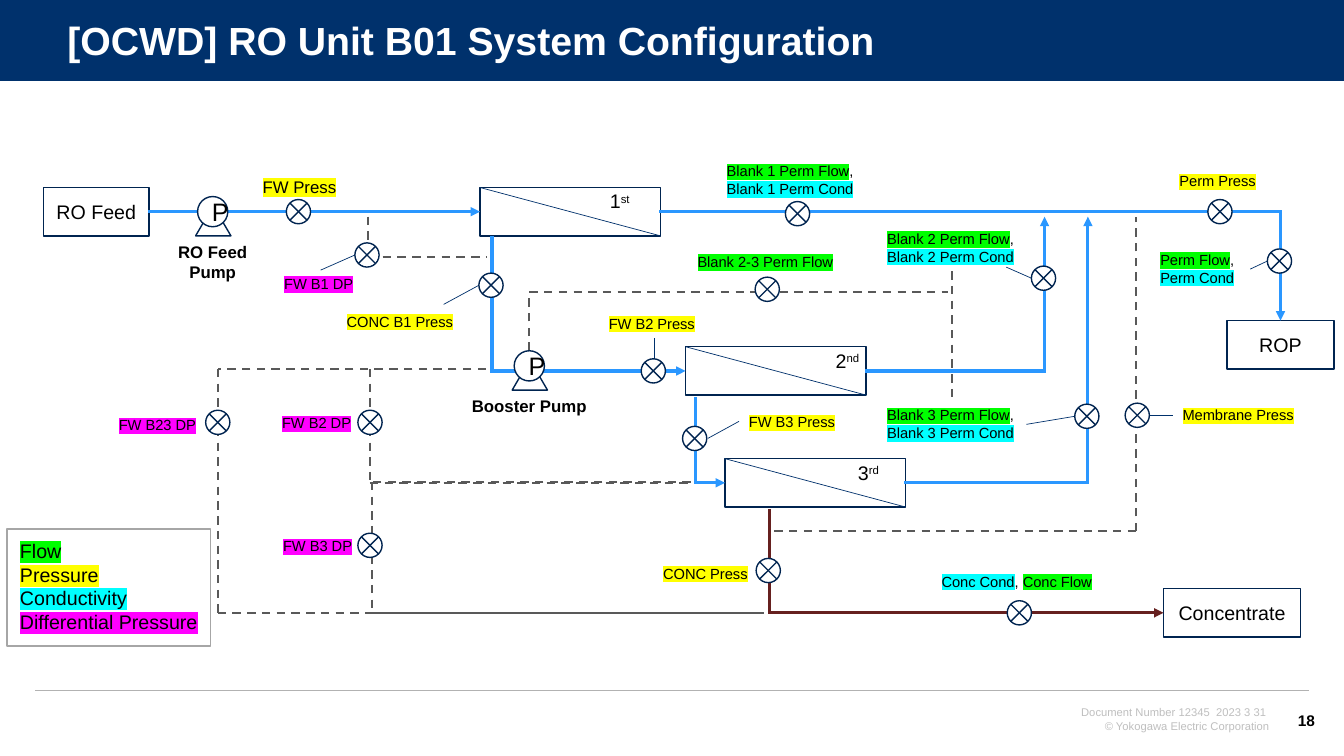
from dataclasses import dataclass, field
from itertools import pairwise

from lxml.etree import SubElement
from pptx import Presentation
from pptx.dml.color import RGBColor
from pptx.enum.dml import MSO_LINE
from pptx.enum.shapes import MSO_CONNECTOR, MSO_SHAPE
from pptx.enum.text import MSO_ANCHOR, PP_ALIGN
from pptx.oxml.ns import qn
from pptx.util import Inches, Pt


@dataclass(frozen=True)
class Theme:
    face: str = "Arial"
    navy: str = "00316C"
    edge: str = "002450"
    white: str = "FFFFFF"
    black: str = "000000"
    rule: str = "B2B2B2"
    frame: str = "A6A6A6"
    pale: str = "BFBFBF"
    title: float = 28
    pump: float = 18
    box: float = 14
    name: float = 12
    page: float = 11
    tag: float = 10.5
    foot: float = 8
    hues: dict = field(default_factory=lambda: {
        "Differential Pressure": "FF00FF", "DP": "FF00FF",
        "Pressure": "FFFF00", "Press": "FFFF00",
        "Conductivity": "00FFFF", "Cond": "00FFFF", "Flow": "00FF00"})
    lines: dict = field(default_factory=lambda: {
        "feed": {"color": "2A97FF", "width": 2.25, "cap": "sq"},
        "waste": {"color": "66201F", "width": 2.25, "cap": "sq"},
        "sense": {"color": "595959", "width": 1.5, "dash": MSO_LINE.DASH},
        "lead": {"color": "00316C", "width": 0.5},
        "rule": {"color": "B2B2B2", "width": 1},
        "edge": {"color": "FFFFFF", "width": 0.75}})


THEME = Theme()
LEFT, MID, RIGHT = PP_ALIGN.LEFT, PP_ALIGN.CENTER, PP_ALIGN.RIGHT
TOP_SIDE, LEFT_SIDE, RIGHT_SIDE = 0, 1, 3

BOXES = {
    "RO Feed": (0.43, 1.86, 1.05), "ROP": (12.17, 3.18, 1.06),
    "Concentrate": (11.54, 5.84, 1.36),
}
STAGES = {"1st": (4.76, 1.86, 5.95), "2nd": (6.8, 3.44, 8.19), "3rd": (7.19, 4.55, 8.41)}

# kind, points, (box, side) at start, (box, side) at end, arrow
ROUTES = [
    ("sense", [(4.82, 3.66), (3.67, 3.66), (3.67, 4.79), (6.85, 4.79)], None, None, False),
    ("sense", [(6.85, 4.78), (3.69, 4.78), (3.69, 6.08), (7.57, 6.08)], None, None, False),
    ("sense", [(4.82, 3.66), (2.16, 3.66), (2.16, 6.08), (7.57, 6.08)], None, None, False),
    ("sense", [(7.68, 5.27), (11.27, 5.27), (11.27, 2.15)], None, None, False),
    ("sense", [(3.65, 2.15), (3.65, 2.55), (4.83, 2.55)], None, None, False),
    ("sense", [(5.25, 3.48), (5.25, 2.9), (9.4, 2.9)], None, None, False),
    ("sense", [(9.44, 2.69), (9.44, 3.98)], None, None, False),
    ("feed", [(1.48, 2.1), (4.76, 2.1)], ("RO Feed", RIGHT_SIDE), ("1st", LEFT_SIDE), True),
    ("feed", [(4.88, 2.36), (4.88, 3.68), (6.8, 3.68)], None, ("2nd", LEFT_SIDE), True),
    ("feed", [(6.9, 3.95), (6.9, 4.79), (7.19, 4.79)], None, ("3rd", LEFT_SIDE), True),
    ("feed", [(6.55, 2.1), (12.7, 2.1), (12.7, 3.18)], ("1st", RIGHT_SIDE), ("ROP", TOP_SIDE), True),
    ("feed", [(8.59, 3.68), (10.36, 3.68), (10.36, 2.15)], ("2nd", RIGHT_SIDE), None, True),
    ("feed", [(8.98, 4.79), (10.79, 4.79), (10.79, 2.15)], ("3rd", RIGHT_SIDE), None, True),
    ("waste", [(7.63, 5.07), (7.63, 6.08), (11.54, 6.08)], None, ("Concentrate", LEFT_SIDE), True),
]
LEADS = [
    [(3.18, 2.68), (3.52, 2.53)], [(6.49, 3.56), (6.49, 3.35)],
    [(12.4, 2.67), (12.57, 2.59)], [(9.98, 2.65), (10.23, 2.76)],
    [(4.75, 2.83), (4.4, 3.02)], [(11.4, 4.12), (11.63, 4.12)],
    [(10.66, 4.13), (10.18, 4.21)], [(7.02, 4.35), (7.33, 4.18)],
]
VALVES = [
    (2.84, 1.98), (3.52, 2.41), (6.36, 3.56), (3.55, 4.07), (6.77, 4.23), (4.75, 2.71),
    (7.5, 5.54), (11.16, 4), (12.57, 2.47), (9.99, 5.96), (10.23, 2.64), (10.66, 4.01),
    (7.79, 2), (11.98, 1.98), (7.49, 2.75), (3.55, 5.29), (2.04, 4.07),
]
PUMPS = [(1.94, 1.95), (5.08, 3.48)]
TAGS = [
    (2.72, 2.68, 0.93, ["FW B1 DP"]), (3.34, 3.05, 1.36, ["CONC B1 Press"]),
    (5.94, 3.07, 1.1, ["FW B2 Press"]), (2.7, 4.06, 0.93, ["FW B2 DP"]),
    (2.71, 5.28, 0.93, ["FW B3 DP"]), (1.08, 4.08, 1.01, ["FW B23 DP"]),
    (7.33, 4.05, 1.06, ["FW B3 Press"]), (6.48, 5.55, 1.1, ["CONC Press"]),
    (11.63, 3.98, 1.35, ["Membrane Press"]), (11.6, 1.66, 1, ["Perm Press"]),
    (6.82, 2.46, 1.6, ["Blank 2-3 Perm Flow"]),
    (9.24, 5.63, 1.77, ["Conc Cond|, |Conc Flow"]),
    (11.41, 2.44, 1, ["Perm Flow|,", "Perm Cond"]),
    (7.11, 1.56, 1.6, ["Blank 1 Perm Flow|,", "Blank 1 Perm Cond"]),
    (8.7, 2.23, 1.48, ["Blank 2 Perm Flow|,", "Blank 2 Perm Cond"]),
    (8.7, 3.98, 1.48, ["Blank 3 Perm Flow|,", "Blank 3 Perm Cond"]),
]


def add_run(para, text, size, color, bold):
    """Add a run, highlighted by the measure its text ends with."""
    run = para.add_run()
    run.text = text
    run.font.color.rgb = RGBColor.from_string(color)
    for key, value in {"size": Pt(size), "bold": bold, "name": THEME.face}.items():
        setattr(run.font, key, value)
    hue = next((h for key, h in THEME.hues.items() if text.endswith(key)), None)
    if hue:
        mark = SubElement(run._r.rPr, qn("a:highlight"))
        SubElement(mark, qn("a:srgbClr"), val=hue)
        run._r.rPr.find(qn("a:latin")).addprevious(mark)
    return run


def write(shape, lines, size, align=LEFT, color=THEME.black, bold=False, anchor=MSO_ANCHOR.TOP):
    """Fill a shape with lines; a bar parts the runs of a line."""
    frame = shape.text_frame
    for key, value in {"word_wrap": True, "vertical_anchor": anchor}.items():
        setattr(frame, key, value)
    for index, line in enumerate(lines):
        para = frame.add_paragraph() if index else frame.paragraphs[0]
        para.alignment = align
        for text in line.split("|"):
            add_run(para, text, size, color, bold)
    return frame


def add_text(slide, place, lines, size, **style):
    return write(slide.shapes.add_textbox(*map(Inches, place)), lines, size, **style)


def add_form(slide, kind, place, fill=THEME.white, line=THEME.edge):
    form = slide.shapes.add_shape(kind, *map(Inches, place))
    form.shadow.inherit = False
    for part, color in ((form.fill, fill), (form.line.fill, line)):
        if color:
            part.solid()
            part.fore_color.rgb = RGBColor.from_string(color)
        else:
            part.background()
    form.line.width = Pt(1)
    return form


def add_route(slide, kind, points, start=None, end=None, arrow=False):
    """Draw straight legs through the points, joined to boxes where given."""
    style = THEME.lines[kind]
    for first, last in pairwise(points):
        leg = slide.shapes.add_connector(MSO_CONNECTOR.STRAIGHT, *map(Inches, first + last))
        leg.line.color.rgb = RGBColor.from_string(style["color"])
        leg.line.width = Pt(style["width"])
        if "dash" in style:
            leg.line.dash_style = style["dash"]
        pen = leg.line._get_or_add_ln()
        if "cap" in style:
            pen.set("cap", style["cap"])
        if start and first == points[0]:
            leg.begin_connect(*start)
        if last == points[-1]:
            if end:
                leg.end_connect(*end)
            if arrow:
                SubElement(pen, qn("a:tailEnd"), type="triangle")
        SubElement(leg._element.spPr, qn("a:effectLst"))


def add_box(slide, name, left, top, width):
    box = add_form(slide, MSO_SHAPE.RECTANGLE, (left, top, width, 0.48))
    write(box, [name], THEME.box, align=MID, anchor=MSO_ANCHOR.MIDDLE)
    return box


def add_stage(slide, name, left, top, text_left):
    """Draw a membrane stage with its diagonal and ordinal."""
    stage = add_form(slide, MSO_SHAPE.RECTANGLE, (left, top, 1.79, 0.48))
    add_route(slide, "lead", [(left, top), (left + 1.79, top + 0.48)])
    frame = add_text(slide, (text_left, top - 0.03, 0.48, 0.34), [f"{name[0]}|{name[1:]}"], THEME.box)
    frame.paragraphs[0].runs[1].font._element.set("baseline", "30000")
    return stage


def add_pump(slide, left, top):
    add_form(slide, MSO_SHAPE.ISOSCELES_TRIANGLE, (left, top + 0.09, 0.35, 0.3))
    wheel = add_form(slide, MSO_SHAPE.OVAL, (left + 0.02, top, 0.3, 0.3))
    write(wheel, ["P"], THEME.pump, align=MID, anchor=MSO_ANCHOR.MIDDLE)


def add_page(slide):
    """Draw the title band and the footer."""
    add_form(slide, MSO_SHAPE.RECTANGLE, (0, 0, 13.33, 0.81), THEME.navy, None)
    add_route(slide, "edge", [(0, 0.81), (13.33, 0.81)])
    add_route(slide, "rule", [(0.35, 6.85), (12.98, 6.85)])
    title = add_text(slide, (0.57, 0.14, 12.47, 0.57), ["[OCWD] RO Unit B01 System Configuration"],
                     THEME.title, color=THEME.white, bold=True, anchor=MSO_ANCHOR.MIDDLE)
    title.paragraphs[0].line_spacing = 0.9
    add_text(slide, (9.48, 6.95, 3.21, 0.37),
             ["| Document Number 12345 | 2023 3 31 |", "© Yokogawa Electric Corporation"],
             THEME.foot, align=RIGHT, color=THEME.pale)
    add_text(slide, (12.7, 6.95, 0.44, 0.4), ["18"], THEME.page, align=RIGHT, bold=True,
             anchor=MSO_ANCHOR.MIDDLE)


def main():
    deck = Presentation()
    deck.slide_width, deck.slide_height = Inches(13.33), Inches(7.5)
    slide = deck.slides.add_slide(deck.slide_layouts[6])
    add_page(slide)
    boxes = {name: add_box(slide, name, *place) for name, place in BOXES.items()}
    boxes |= {name: add_stage(slide, name, *place) for name, place in STAGES.items()}
    for kind, points, start, end, arrow in ROUTES:
        start, end = ((boxes[j[0]], j[1]) if j else None for j in (start, end))
        add_route(slide, kind, points, start, end, arrow)
    for points in LEADS:
        add_route(slide, "lead", points)
    for place in PUMPS:
        add_pump(slide, *place)
    for place in VALVES:
        add_form(slide, MSO_SHAPE.FLOWCHART_SUMMING_JUNCTION, place + (0.24, 0.24))
    add_text(slide, (1.51, 2.35, 1.2, 0.5), ["RO Feed Pump"], THEME.name, align=MID, bold=True)
    add_text(slide, (4.51, 3.88, 1.48, 0.3), ["Booster Pump"], THEME.name, align=MID, bold=True)
    add_text(slide, (2.49, 1.7, 0.96, 0.3), ["FW Press"], THEME.name, align=MID)
    for left, top, width, lines in TAGS:
        add_text(slide, (left, top, width, 0.11 + 0.17 * len(lines)), lines, THEME.tag)
    add_text(slide, (0.1, 5.3, 2.14, 1.04),
             ["Flow", "Pressure", "Conductivity", "Differential Pressure"], THEME.box)
    add_form(slide, MSO_SHAPE.RECTANGLE, (0.07, 5.25, 2.02, 1.16), None, THEME.frame)
    deck.save("out.pptx")


if __name__ == "__main__":
    main()
